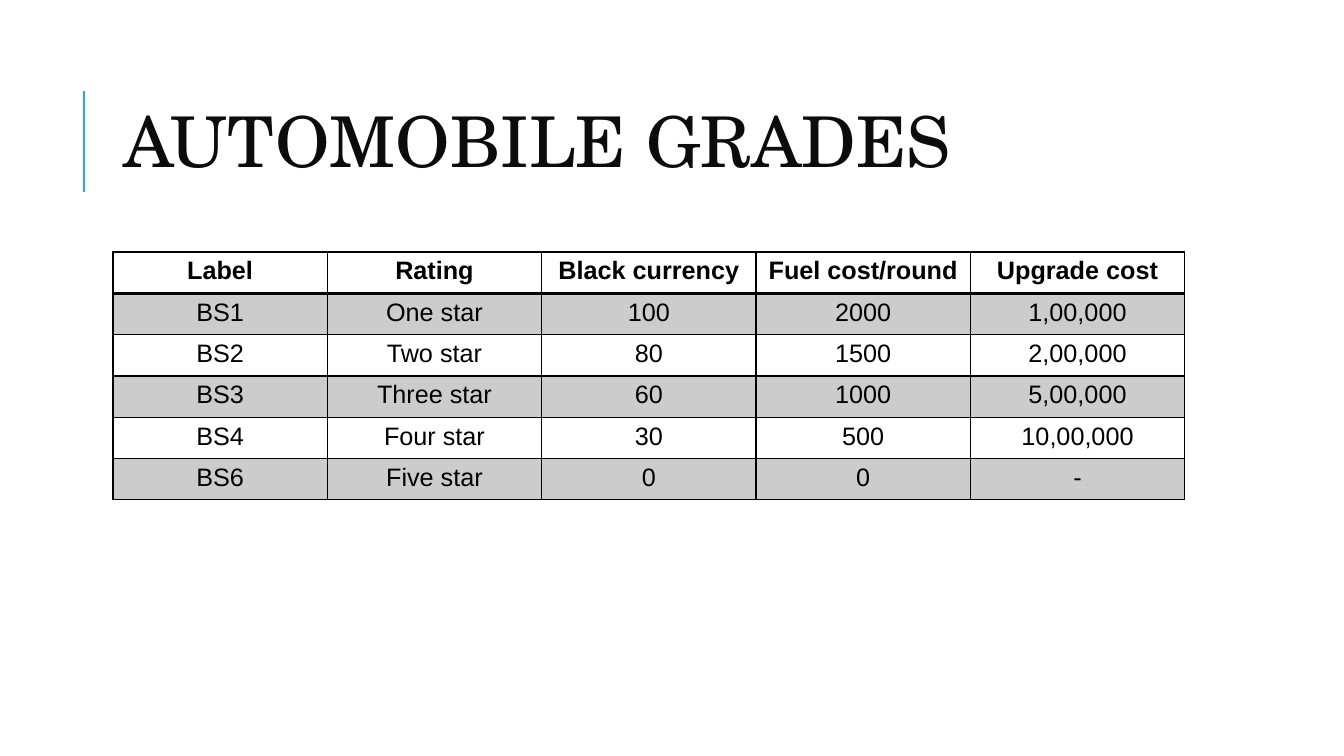
from lxml import etree
from pptx import Presentation
from pptx.dml.color import RGBColor
from pptx.enum.shapes import MSO_CONNECTOR
from pptx.enum.text import MSO_ANCHOR, MSO_AUTO_SIZE, PP_ALIGN
from pptx.oxml.ns import qn
from pptx.util import Inches, Pt

STRAIGHT = MSO_CONNECTOR.STRAIGHT
MIDDLE = MSO_ANCHOR.MIDDLE
NO_FIT = MSO_AUTO_SIZE.NONE
LEFT, CENTER = PP_ALIGN.LEFT, PP_ALIGN.CENTER

BLACK = RGBColor(0x00, 0x00, 0x00)
TITLE_INK = RGBColor(0x0C, 0x0C, 0x0C)
ACCENT = RGBColor(0x1C, 0xAD, 0xE4)
BAND_OPACITY = 20

CONTENT_LEFT, CONTENT_WIDTH = 1.12, 10.63
TABLE_TOP, ROW_HEIGHT = 2.5, 0.41

GRADES = [
    ("Label", "Rating", "Black currency", "Fuel cost/round", "Upgrade cost"),
    ("BS1", "One star", "100", "2000", "1,00,000"),
    ("BS2", "Two star", "80", "1500", "2,00,000"),
    ("BS3", "Three star", "60", "1000", "5,00,000"),
    ("BS4", "Four star", "30", "500", "10,00,000"),
    ("BS6", "Five star", "0", "0", "-"),
]


def set_format(target, values):
    for name, value in values.items():
        setattr(target, name, value)


def write_paragraph(tf, text, align, color, **font):
    p = tf.paragraphs[0]
    p.alignment = align
    r = p.add_run()
    r.text = text
    set_format(r.font, font)
    r.font.color.rgb = color
    return p


def add_title(s, text):
    sp = s.shapes.title
    set_format(sp, {"left": Inches(CONTENT_LEFT), "top": Inches(0.64),
                    "width": Inches(CONTENT_WIDTH), "height": Inches(1.64)})
    tf = sp.text_frame
    set_format(tf, {"word_wrap": True, "auto_size": NO_FIT,
                    "vertical_anchor": MIDDLE})
    p = write_paragraph(tf, text, LEFT, TITLE_INK,
                        name="TeX Gyre Schola", size=Pt(50))
    p.line_spacing = 0.8


def add_accent_line(s):
    line = s.shapes.add_connector(STRAIGHT, Inches(0.83), Inches(1.9),
                                  Inches(0.83), Inches(0.9))
    line.line.color.rgb = ACCENT
    line.line.width = Pt(1.5)
    etree.SubElement(line._element.spPr, qn("a:effectLst"))


def set_borders(cell, widths):
    """Draw black borders; they come before the fill in the cell properties."""
    tc_pr = cell._tc.get_or_add_tcPr()
    for i, (side, width) in enumerate(widths.items()):
        ln = etree.Element(qn(f"a:ln{side}"), w=str(Pt(width)))
        fill = etree.SubElement(ln, qn("a:solidFill"))
        etree.SubElement(fill, qn("a:srgbClr"), val=str(BLACK))
        tc_pr.insert(i, ln)


def set_fill(cell, banded):
    if not banded:
        cell.fill.background()
        return
    cell.fill.solid()
    cell.fill.fore_color.rgb = BLACK
    color = cell._tc.tcPr.find(qn("a:solidFill")).find(qn("a:srgbClr"))
    etree.SubElement(color, qn("a:alpha"), val=str(BAND_OPACITY * 1000))


def add_table(s, rows):
    frame = s.shapes.add_table(
        len(rows), len(rows[0]), Inches(CONTENT_LEFT), Inches(TABLE_TOP),
        Inches(CONTENT_WIDTH), Inches(ROW_HEIGHT * len(rows)))
    table = frame.table
    for i, values in enumerate(rows):
        table.rows[i].height = Inches(ROW_HEIGHT)
        # The rule under the header is heavier than the others
        borders = {"L": 1, "R": 1, "T": 2 if i == 1 else 1,
                   "B": 2 if i == 0 else 1}
        for j, text in enumerate(values):
            cell = table.cell(i, j)
            write_paragraph(cell.text_frame, text, CENTER, BLACK,
                            name="Arial", size=Pt(18), bold=i == 0)
            set_fill(cell, banded=i % 2 == 1)
            set_borders(cell, borders)


def main():
    prs = Presentation()
    prs.slide_width, prs.slide_height = Inches(13.33), Inches(7.5)
    s = prs.slides.add_slide(prs.slide_layouts[5])

    # Heading
    add_accent_line(s)
    add_title(s, "AUTOMOBILE GRADES")

    # Grades
    add_table(s, GRADES)

    prs.save("out.pptx")


if __name__ == "__main__":
    main()
